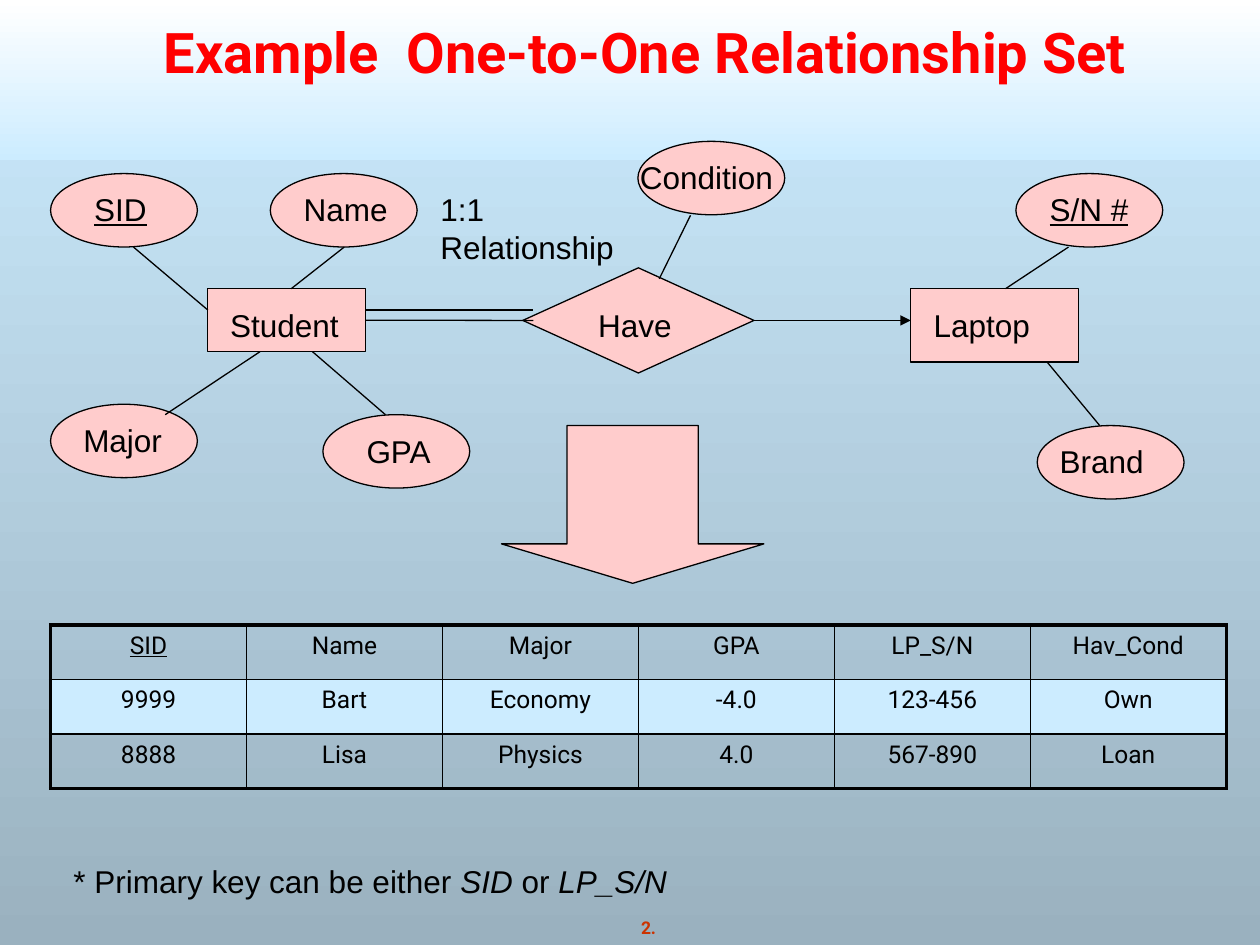
from lxml import etree
from pptx import Presentation
from pptx.dml.color import RGBColor
from pptx.enum.shapes import MSO_CONNECTOR, MSO_SHAPE
from pptx.enum.text import MSO_ANCHOR, PP_ALIGN
from pptx.oxml.ns import qn
from pptx.util import Cm, Pt

STRAIGHT = MSO_CONNECTOR.STRAIGHT
RECTANGLE, ELLIPSE = MSO_SHAPE.RECTANGLE, MSO_SHAPE.OVAL
DIAMOND, DOWN_ARROW = MSO_SHAPE.FLOWCHART_DECISION, MSO_SHAPE.DOWN_ARROW
CENTER, LEFT = PP_ALIGN.CENTER, PP_ALIGN.LEFT
BOTTOM = MSO_ANCHOR.BOTTOM
TOP_SIDE, LEFT_SIDE, BOTTOM_SIDE, RIGHT_SIDE = range(4)

COLORS = {
    "black": "000000", "white": "FFFFFF", "sky": "CCECFF", "slate": "9AB1BF",
    "pink": "FFCCCC", "title": "FF0000", "number": "CC3300",
}
TITLE_ONLY = 5
ELLIPSE_SIZE = (2.96, 1.48)
THIN = 0.75

# name: (ellipse left, top, label left, label top, label width, underlined)
ATTRIBUTES = {
    "SID": (1.02, 3.5, 1.65, 3.71, 2.12, True),
    "Name": (5.45, 3.5, 5.87, 3.71, 2.33, False),
    "Major": (1.02, 8.15, 1.43, 8.36, 2.12, False),
    "GPA": (6.51, 8.36, 7.14, 8.58, 1.9, False),
    "S/N #": (20.48, 3.5, 20.91, 3.71, 3.18, True),
    "Condition": (12.86, 2.85, 12.65, 3.07, 3.6, False),
    "Brand": (20.91, 8.58, 21.11, 8.79, 2.33, False),
}
ATTRIBUTE_LINKS = [
    (2.69, 4.98, 4.19, 6.25), (6.94, 4.98, 5.87, 5.82),
    (7.77, 8.36, 6.3, 7.09), (3.33, 8.36, 5.24, 7.09),
    (21.54, 4.98, 20.27, 5.82), (13.29, 5.62, 13.92, 4.34),
    (21.11, 7.3, 22.17, 8.58),
]
RECORDS = [
    ["SID", "Name", "Major", "GPA", "LP_S/N", "Hav_Cond"],
    ["9999", "Bart", "Economy", "-4.0", "123-456", "Own"],
    ["8888", "Lisa", "Physics", "4.0", "567-890", "Loan"],
]


def rgb(name):
    return RGBColor.from_string(COLORS[name])


class DiagramSlide:
    """Holds the style and the slide being drawn; lengths are in centimetres."""

    def __init__(self, slide):
        self.slide = slide
        self.shapes = slide.shapes

    def style(self, paragraph, size=18, font="Arial", color="black", bold=False, align=LEFT):
        paragraph.alignment = align
        for run in paragraph.runs:
            run.font.size, run.font.name, run.font.bold = Pt(size), font, bold
            run.font.color.rgb = rgb(color)

    def gradient(self, fill, top, bottom):
        fill.gradient()
        fill.gradient_angle = 270
        for stop, color, position in zip(fill.gradient_stops, (top, bottom), (0, 1)):
            stop.color.rgb = rgb(color)
            stop.position = position

    def header_band(self, width, height):
        band = self.shapes.add_shape(RECTANGLE, 0, 0, Cm(width), Cm(height))
        band.shadow.inherit = False
        band.line.fill.background()
        self.gradient(band.fill, "white", "sky")
        self.shapes._spTree.insert(2, band._element)

    def title(self, text, *box):
        holder = self.shapes.title
        holder.left, holder.top, holder.width, holder.height = map(Cm, box)
        holder.text_frame.text = text
        holder.text_frame.vertical_anchor = BOTTOM
        self.style(holder.text_frame.paragraphs[0], 32, "Roboto", "title", True, CENTER)

    def node(self, kind, *box):
        shape = self.shapes.add_shape(kind, *map(Cm, box))
        shape.shadow.inherit = False
        shape.fill.solid()
        shape.fill.fore_color.rgb = rgb("pink")
        shape.line.color.rgb = rgb("black")
        shape.line.width = Pt(THIN)
        return shape

    def label(self, text, left, top, width, height=1.02, wrap=True, **style):
        frame = self.shapes.add_textbox(Cm(left), Cm(top), Cm(width), Cm(height)).text_frame
        frame.word_wrap = wrap
        frame.text = text
        self.style(frame.paragraphs[0], **style)
        return frame.paragraphs[0]

    def note(self, parts, left, top, width):
        """Adds one line from (text, italic) parts."""
        paragraph = self.label("", left, top, width)
        for text, italic in parts:
            run = paragraph.add_run()
            run.text = text
            run.font.italic = italic
        self.style(paragraph)

    def link(self, x1, y1, x2, y2, arrow=False):
        line = self.shapes.add_connector(STRAIGHT, *map(Cm, (x1, y1, x2, y2)))
        line.line.color.rgb = rgb("black")
        line.line.width = Pt(THIN)
        if arrow:
            etree.SubElement(line.line._get_or_add_ln(), qn("a:tailEnd"), type="triangle")
        etree.SubElement(line._element.spPr, qn("a:effectLst"))
        return line

    def borders(self, cell, widths):
        """Sets left, right, top and bottom border widths in points."""
        properties = cell._tc.get_or_add_tcPr()
        for index, (side, width) in enumerate(zip("LRTB", widths)):
            border = etree.Element(qn(f"a:ln{side}"), w=str(Pt(width)))
            fill = etree.SubElement(border, qn("a:solidFill"))
            etree.SubElement(fill, qn("a:srgbClr"), val=COLORS["black"])
            properties.insert(index, border)

    def table(self, records, left, top, column_width, row_height, outer=2.25, inner=1):
        rows, columns = len(records), len(records[0])
        table = self.shapes.add_table(
            rows, columns, Cm(left), Cm(top),
            Cm(column_width * columns), Cm(row_height * rows)).table
        table.first_row = table.horz_banding = False
        for r, record in enumerate(records):
            for c, value in enumerate(record):
                cell = table.cell(r, c)
                cell.text_frame.text = value
                self.style(cell.text_frame.paragraphs[0], 14, "Roboto", align=CENTER)
                if r == 1:
                    cell.fill.solid()
                    cell.fill.fore_color.rgb = rgb("sky")
                else:
                    cell.fill.background()
                edges = (c == 0, c == columns - 1, r == 0, r == rows - 1)
                self.borders(cell, [outer if edge else inner for edge in edges])
        return table


def main():
    deck = Presentation()
    deck.slide_width, deck.slide_height = Cm(25.4), Cm(19.05)
    page = DiagramSlide(deck.slides.add_slide(deck.slide_layouts[TITLE_ONLY]))
    page.gradient(page.slide.background.fill, "sky", "slate")
    page.header_band(25.4, 3.23)
    page.title("Example  One-to-One Relationship Set", 1.8, 0.13, 22.43, 1.7)

    key_table = page.table(RECORDS, 1.02, 12.6, 3.95, 1.1)
    key_table.cell(0, 0).text_frame.paragraphs[0].runs[0].font.underline = True

    student = page.node(RECTANGLE, 4.19, 5.82, 3.18, 1.27)
    have = page.node(DIAMOND, 10.54, 5.4, 4.66, 2.12)
    page.node(RECTANGLE, 18.36, 5.82, 3.39, 1.48)
    page.node(DOWN_ARROW, 10.11, 8.58, 5.29, 3.18).adjustments[1] = 0.25
    for text, left, width in (("Student", 4.39, 2.75), ("Have", 11.81, 2.12),
                              ("Laptop", 18.57, 2.75)):
        page.label(text, left, 6.05, width)

    for name, (left, top, *label_box, underlined) in ATTRIBUTES.items():
        page.node(ELLIPSE, left, top, *ELLIPSE_SIZE)
        page.label(name, *label_box).runs[0].font.underline = underlined
    for ends in ATTRIBUTE_LINKS:
        page.link(*ends)

    page.link(7.37, 6.25, 10.75, 6.25)
    page.link(7.37, 6.46, 10.75, 6.46).begin_connect(student, RIGHT_SIDE)
    page.link(15.2, 6.46, 18.36, 6.46, arrow=True).begin_connect(have, RIGHT_SIDE)
    page.label("1:1 Relationship", 8.63, 3.71, 4.87, 1.78)

    page.note([("* Primary key can be either ", False), ("SID", True),
               (" or ", False), ("LP_S/N", True)], 1.23, 17.25, 23.05)
    page.label("2.", 12.67, 18.36, 0.81, 0.69, wrap=False, size=10,
               font="Roboto", color="number", bold=True, align=CENTER)
    deck.save("out.pptx")


if __name__ == "__main__":
    main()
